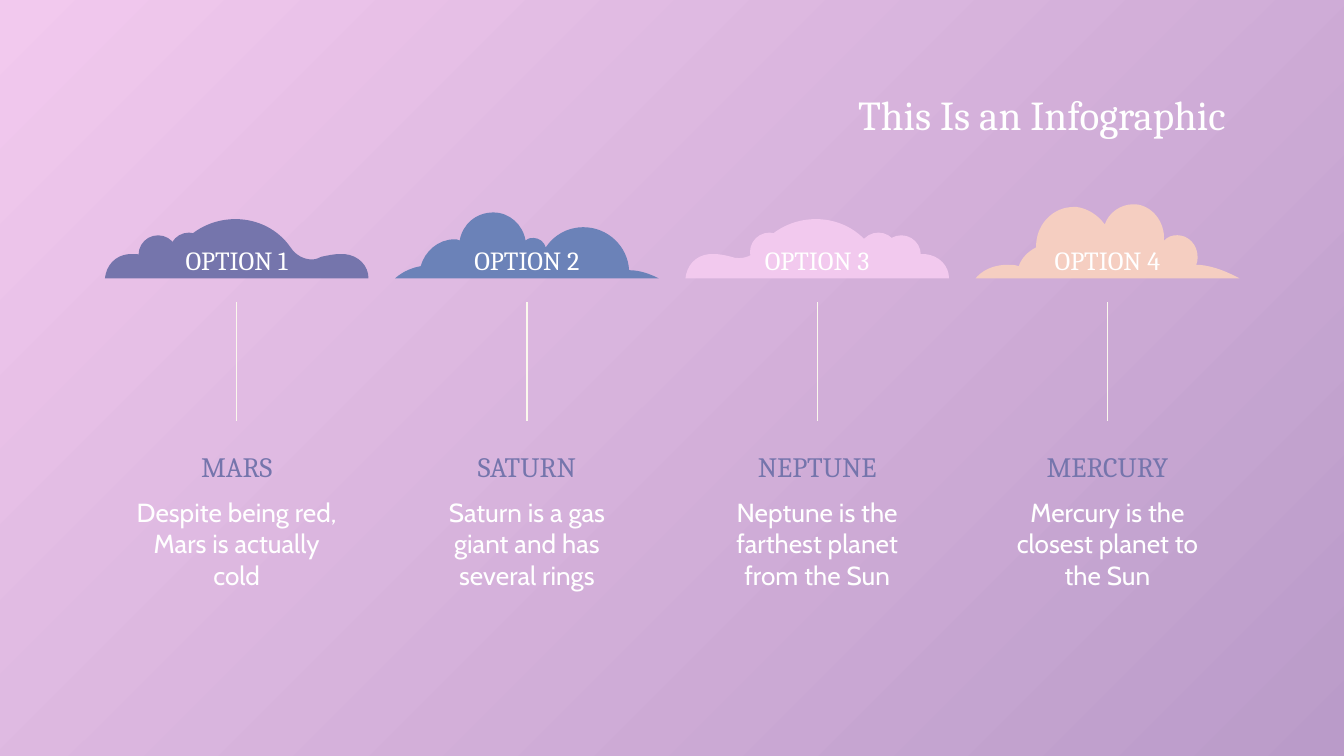
from lxml.etree import Element, SubElement
from pptx import Presentation
from pptx.dml.color import RGBColor
from pptx.enum.shapes import MSO_CONNECTOR, MSO_SHAPE
from pptx.enum.text import MSO_ANCHOR, MSO_AUTO_SIZE, PP_ALIGN
from pptx.oxml.ns import qn
from pptx.util import Pt

# Content
TITLE = "This Is an Infographic"
WHITE, CREAM, VIOLET = "FFFFFF", "FBF9ED", "7575AC"
SKY = ("F2C9EE", "BA9BC9")
SERIF, SANS = "Cambria", "Cabin"

# Cloud outlines on a grid 196 wide, heights measured up from the flat base.
# First the start point, then steps: three points make a curve, one a line.
DOME = [
    [(97, 44)],
    [(80, 44), (65, 36), (56, 24)], [(52, 18), (46, 15), (40, 15)],
    [(38, 15), (36, 15), (34, 16)], [(30, 17), (26, 18), (21, 18)],
    [(20, 18), (19, 18), (18, 18)], [(7, 17), (1, 9), (0, 0)],
    [(196, 0)],
    [(196, 9), (189, 17), (178, 18)], [(177, 18), (176, 18), (175, 18)],
    [(170, 18), (166, 17), (161, 16)], [(159, 15), (157, 14), (154, 14)],
    [(148, 14), (142, 17), (138, 23)], [(129, 36), (114, 44), (97, 44)],
]
PUFFS = [
    [(73, 49)],
    [(60, 49), (50, 40), (48, 28)], [(47, 29), (45, 29), (44, 29)],
    [(32, 29), (22, 20), (19, 9)], [(7, 7), (0, 0), (0, 0)],
    [(196, 0)],
    [(186, 5), (179, 6), (174, 6)], [(173, 24), (158, 38), (140, 38)],
    [(128, 38), (118, 32), (112, 23)], [(111, 27), (107, 30), (103, 30)],
    [(101, 30), (99, 30), (97, 28)], [(95, 40), (85, 49), (73, 49)],
]
TOWER = [
    [(117, 55)],
    [(108, 55), (99, 49), (96, 40)], [(91, 47), (83, 52), (75, 53)],
    [(74, 53), (73, 53), (73, 53)], [(58, 53), (46, 41), (45, 26)],
    [(45, 25), (45, 24), (45, 23)], [(39, 20), (34, 15), (32, 9)],
    [(29, 10), (27, 10), (24, 10)], [(7, 10), (0, 0), (0, 0)],
    [(196, 0)],
    [(183, 7), (172, 10), (164, 10)], [(165, 12), (165, 14), (165, 16)],
    [(165, 25), (158, 32), (150, 32)], [(146, 32), (143, 31), (140, 28)],
    [(141, 42), (131, 54), (119, 55)], [(118, 55), (118, 55), (117, 55)],
]

# Planet, detail, cloud colour, outline, bubbles (left, top)
PLANETS = [
    ("MARS", "Despite being red, Mars is actually cold",
     VIOLET, DOME, [(25, 32), (48, 34)]),
    ("SATURN", "Saturn is a gas giant and has several rings",
     "6B82B8", PUFFS, []),
    ("NEPTUNE", "Neptune is the farthest planet from the Sun",
     "F2C9EE", DOME, [(48, 34), (129, 34), (146, 32)]),
    ("MERCURY", "Mercury is the closest planet to the Sun",
     "F5CEC1", TOWER, []),
]

# Layout in points
LEFT, STEP, WIDE, BASE = 56.2, 155.5, 141.2, 149.1
UNIT = WIDE / 196
BUBBLE = 29 * UNIT
TEXT_W = 126


def color(code):
    return RGBColor.from_string(code)


def paint(shape, code):
    shape.shadow.inherit = False
    shape.fill.solid()
    shape.fill.fore_color.rgb = color(code)
    shape.line.fill.background()


def write(box, text, size, font, code, align=PP_ALIGN.CENTER,
          anchor=MSO_ANCHOR.MIDDLE):
    frame = box.text_frame
    frame.word_wrap = True
    frame.auto_size = MSO_AUTO_SIZE.NONE
    frame.vertical_anchor = anchor
    frame.margin_left = frame.margin_right = Pt(7.2)
    frame.margin_top = frame.margin_bottom = Pt(7.2)
    para = frame.paragraphs[0]
    para.alignment = align
    run = para.add_run()
    run.text = text
    run.font.size = Pt(size)
    run.font.name = font
    run.font.color.rgb = color(code)


def label(x, y, w, h, *args, **opts):
    write(shapes.add_textbox(Pt(x), Pt(y), Pt(w), Pt(h)), *args, **opts)


def bend(shape, steps):
    """Turn each line of a freeform into a curve where its step has handles."""
    lines = list(shape._element.iter(qn("a:lnTo")))
    for line, step in zip(lines, steps):
        if len(step) == 3:
            line.tag = qn("a:cubicBezTo")
            for k, (px, py) in enumerate(step[:2]):
                line.insert(k, Element(qn("a:pt"), x=str(px - shape.left),
                                       y=str(py - shape.top)))


def cloud(x, code, outline, bubbles):
    parts = shapes.add_group_shape().shapes if bubbles else shapes
    steps = [[(Pt(x + px * UNIT), Pt(BASE - py * UNIT)) for px, py in step]
             for step in outline]
    ends = [step[-1] for step in steps]
    pen = parts.build_freeform(*ends[0])
    pen.add_line_segments(ends[1:], close=True)
    body = pen.convert_to_shape()
    bend(body, steps[1:])
    paint(body, code)
    for bx, top in bubbles:
        paint(parts.add_shape(
            MSO_SHAPE.OVAL, Pt(x + bx * UNIT), Pt(BASE - top * UNIT),
            Pt(BUBBLE), Pt(BUBBLE)), code)


def stem(x, top, end):
    line = shapes.add_connector(
        MSO_CONNECTOR.STRAIGHT, Pt(x), Pt(top), Pt(x), Pt(end))
    line.line.color.rgb = color(CREAM)
    line.line.width = Pt(0.75)
    SubElement(line._element.spPr, qn("a:effectLst"))


# Slide and background
deck = Presentation()
deck.slide_width, deck.slide_height = Pt(720), Pt(405)
slide = deck.slides.add_slide(deck.slide_layouts[5])
shapes = slide.shapes
fill = slide.background.fill
fill.gradient()
fill.gradient_angle = 315
for stop, code, place in zip(fill.gradient_stops, SKY, (0, 1)):
    stop.color.rgb = color(code)
    stop.position = place

# Title
title = shapes.title
title.left, title.top = Pt(LEFT), Pt(42.2)
title.width, title.height = Pt(720 - 2 * LEFT), Pt(38)
write(title, TITLE, 22, SERIF, WHITE, align=PP_ALIGN.RIGHT)

# One column per planet
for i, (name, detail, code, outline, bubbles) in enumerate(PLANETS):
    x = LEFT + i * STEP
    mid = x + WIDE / 2
    side = mid - TEXT_W / 2
    cloud(x, code, outline, bubbles)
    label(x, 129.6, WIDE, 19.4, f"OPTION {i + 1}", 14, SERIF, WHITE)
    stem(mid, 162, 225.8)
    label(side, 238.6, TEXT_W, 22.3, name, 15, SERIF, VIOLET)
    label(side, 258.7, TEXT_W, 64, detail, 14, SANS, WHITE,
          anchor=MSO_ANCHOR.TOP)

deck.save("out.pptx")
